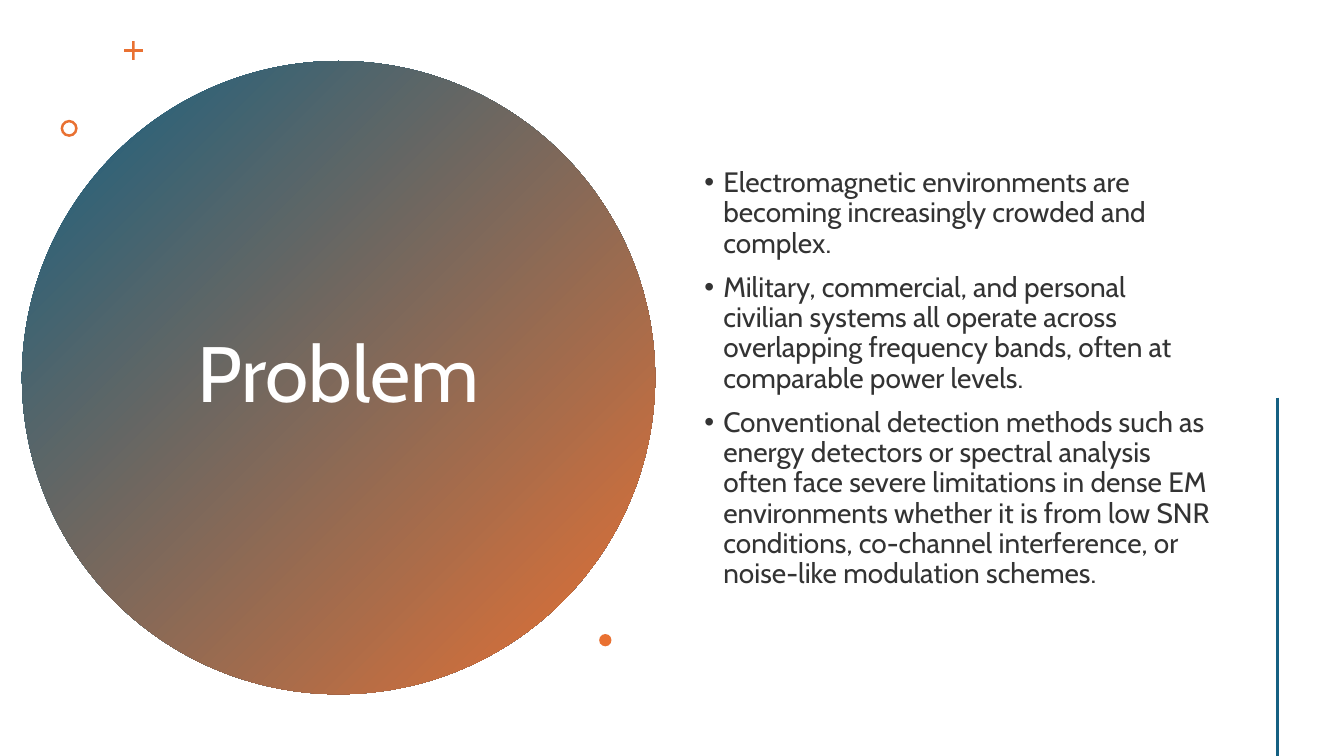
import pptx
import pptx.util
import pptx.dml.color
import pptx.enum.shapes
import pptx.enum.text
import pptx.oxml.ns
import lxml.etree

Pt = pptx.util.Pt
SHAPES = pptx.enum.shapes.MSO_SHAPE
ALIGN = pptx.enum.text.PP_ALIGN
FONT = "Cabin"
BLUE = "156082"
ORANGE = "E97132"
WHITE = "FFFFFF"
DARK = "333333"
INDENT = 13.5

POINTS = [
    "Electromagnetic environments are becoming increasingly crowded and complex.",
    "Military, commercial, and personal civilian systems all operate across "
    "overlapping frequency bands, often at comparable power levels.",
    "Conventional detection methods such as energy detectors or spectral analysis "
    "often face severe limitations in dense EM environments whether it is from low "
    "SNR conditions, co-channel interference, or noise-like modulation schemes.",
]


def color(value):
    return pptx.dml.color.RGBColor.from_string(value)


def add_child(parent, tag, **attributes):
    return lxml.etree.SubElement(parent, pptx.oxml.ns.qn(tag), **attributes)


def add_mark(page, kind, left, top, size, adjustment=None):
    mark = page.shapes.add_shape(kind, Pt(left), Pt(top), Pt(size), Pt(size))
    mark.shadow.inherit = False
    mark.line.fill.background()
    mark.fill.solid()
    mark.fill.fore_color.rgb = color(ORANGE)
    if adjustment is not None:
        mark.adjustments[0] = adjustment
    return mark


def add_gradient_circle(page, left, top, size):
    circle = add_mark(page, SHAPES.OVAL, left, top, size)
    circle.fill.gradient()
    circle.fill.gradient_angle = 315
    for stop, position, value in zip(circle.fill.gradient_stops, (0, 1), (BLUE, ORANGE)):
        stop.position = position
        stop.color.rgb = color(value)
    page.shapes.title.element.addprevious(circle.element)


def prepare_frame(box):
    frame = box.text_frame
    frame.word_wrap = True
    frame.auto_size = pptx.enum.text.MSO_AUTO_SIZE.NONE
    frame.vertical_anchor = pptx.enum.text.MSO_ANCHOR.MIDDLE
    return frame


def format_paragraph(para, size, value, align):
    para.alignment = align
    para.line_spacing = 0.9
    for span in para.runs:
        span.font.name = FONT
        span.font.size = Pt(size)
        span.font.color.rgb = color(value)


def set_title(page, text, left, top, width, height):
    title = page.shapes.title
    title.left, title.top = Pt(left), Pt(top)
    title.width, title.height = Pt(width), Pt(height)
    frame = prepare_frame(title)
    frame.text = text
    format_paragraph(frame.paragraphs[0], 56, WHITE, ALIGN.CENTER)


def add_bullets(page, items, left, top, width, height):
    box = page.shapes.add_textbox(Pt(left), Pt(top), Pt(width), Pt(height))
    frame = prepare_frame(box)
    for index, item in enumerate(items):
        para = frame.add_paragraph() if index else frame.paragraphs[0]
        para.text = item
        properties = para._p.get_or_add_pPr()
        properties.set("marL", str(Pt(INDENT)))
        properties.set("indent", str(-Pt(INDENT)))
        add_child(properties, "a:buFont", typeface="Arial")
        add_child(properties, "a:buChar", char="•")
        format_paragraph(para, 20, DARK, ALIGN.LEFT)
        if index:
            para.space_before = Pt(10)


def add_vertical_line(page, x, top, bottom):
    line = page.shapes.add_connector(
        pptx.enum.shapes.MSO_CONNECTOR.STRAIGHT, Pt(x), Pt(top), Pt(x), Pt(bottom))
    line.line.color.rgb = color(BLUE)
    line.line.width = Pt(2)
    add_child(line.element.spPr, "a:effectLst")


def main():
    deck = pptx.Presentation()
    deck.slide_width, deck.slide_height = Pt(960), Pt(540)
    page = deck.slides.add_slide(deck.slide_layouts.get_by_name("Title Only"))
    add_gradient_circle(page, 15.7, 43.6, 452.3)
    set_title(page, "Problem", 98, 101.5, 287.3, 336.2)
    add_mark(page, SHAPES.CROSS, 88.6, 29.4, 13.4, 0.43)
    add_mark(page, SHAPES.DONUT, 43.3, 85.6, 12.2, 0.15)
    add_bullets(page, POINTS, 496.1, 41, 375.8, 459.4)
    add_mark(page, SHAPES.OVAL, 428, 452.9, 8.8)
    add_vertical_line(page, 912.3, 284, 540)
    deck.save("out.pptx")


if __name__ == "__main__":
    main()
